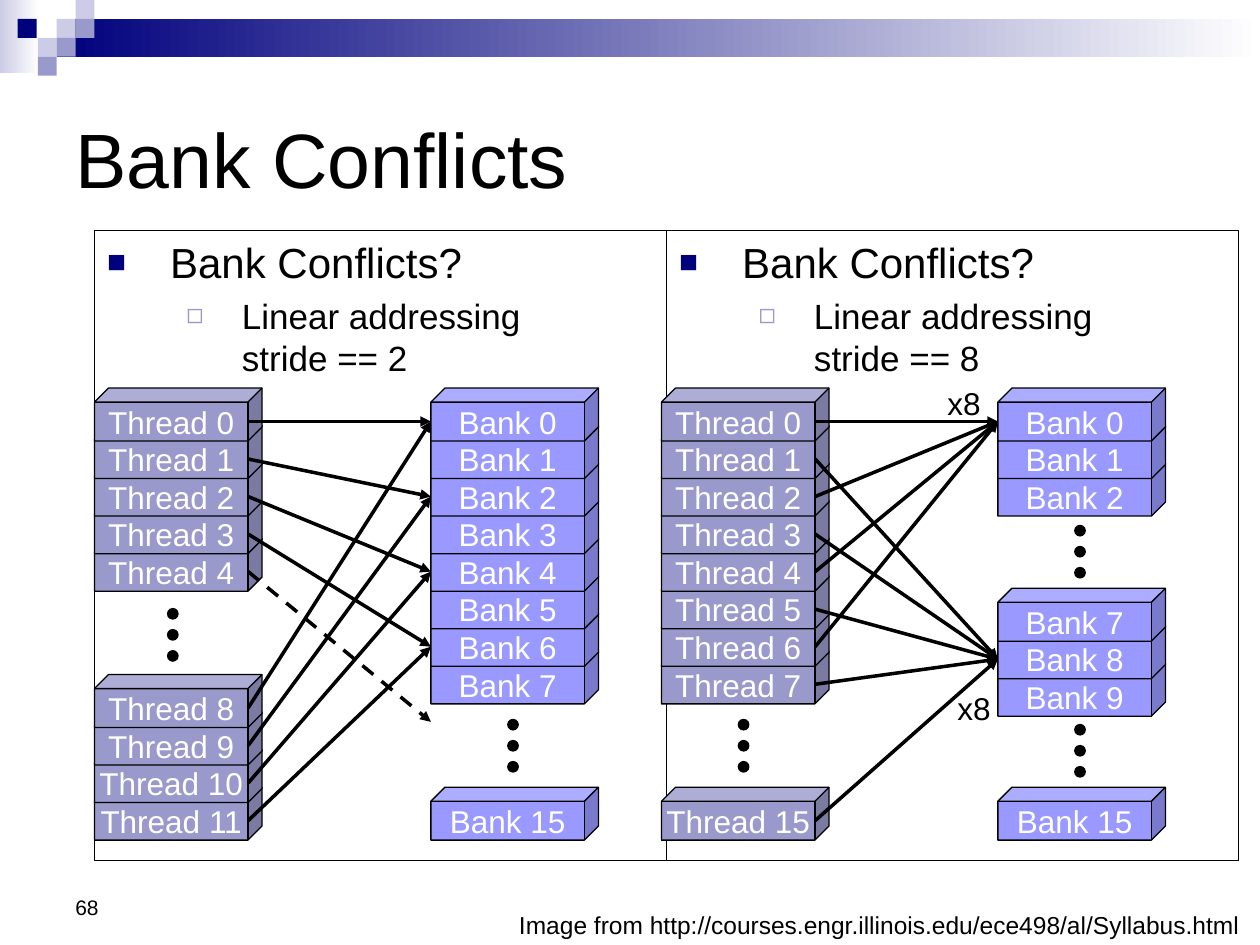
import pptx
import pptx.util
import pptx.dml.color
import pptx.enum.dml
import pptx.enum.shapes
import pptx.enum.text
import pptx.oxml.ns
from lxml import etree

SHAPE = pptx.enum.shapes.MSO_SHAPE
ALIGN = pptx.enum.text.PP_ALIGN
ANCHOR = pptx.enum.text.MSO_ANCHOR
qn = pptx.oxml.ns.qn

COLORS = {"ink": "000000", "paper": "FFFFFF", "navy": "00007D",
          "pale": "CCCCE6", "thread": "9999CC", "bank": "9999FF"}
COLS = 100                    # grid columns across the slide; rows are as tall
PITCH = 2.98                  # grid rows from one cube to the next
STACK_TOP = 30.8
CUBE_W, CUBE_H, FACE_W, FACE_MID = 13.3, 4.2, 12.2, 2.65


def cube_top(slot):
    return STACK_TOP + PITCH * slot


class Deck:
    font = "Arial"

    def __init__(self, width, height):
        self.prs = pptx.Presentation()
        self.prs.slide_width = pptx.util.Inches(width)
        self.prs.slide_height = pptx.util.Inches(height)
        self.s = self.prs.slides.add_slide(self.prs.slide_layouts[3])

    def grid(self, *cells):
        return [round(c * self.prs.slide_width / COLS) for c in cells]

    def color(self, name):
        return pptx.dml.color.RGBColor.from_string(COLORS[name])

    def fill_text(self, p, text, size, color="ink", **formats):
        for key, value in formats.items():
            setattr(p, key, value)
        p.text = text
        for r in p.runs:
            style = {"name": self.font, "size": pptx.util.Pt(size)}
            for key, value in style.items():
                setattr(r.font, key, value)
            r.font.color.rgb = self.color(color)
        for br in p._p.findall(qn("a:br")):
            etree.SubElement(br, qn("a:rPr"), sz=str(size * 100))

    def place(self, sp, at):
        for key, value in zip(("left", "top", "width", "height"), self.grid(*at)):
            setattr(sp, key, value)

    def frame(self, sp, **formats):
        for key, value in formats.items():
            setattr(sp.text_frame, key, value)
        return sp.text_frame

    def outline(self, sp):
        sp.line.color.rgb = self.color("ink")
        sp.line.width = pptx.util.Pt(0.75)

    def title(self, text, at):
        sp = self.s.shapes.title
        self.place(sp, at)
        tf = self.frame(sp, vertical_anchor=ANCHOR.MIDDLE)
        self.fill_text(tf.paragraphs[0], text, 44, alignment=ALIGN.LEFT)

    def bullets(self, idx, at, items):
        sp = self.s.placeholders[idx]
        self.place(sp, at)
        self.outline(sp)
        tf = self.frame(sp, vertical_anchor=ANCHOR.TOP, word_wrap=True,
                        auto_size=pptx.enum.text.MSO_AUTO_SIZE.NONE)
        looks = [("■", "navy", 75, 24, 0.5, -0.5, 0), ("◻", "thread", 80, 20, 1.07, -0.44, 4)]
        for level, text in enumerate(items):
            mark, tint, share, size, margin, indent, before = looks[level]
            p = tf.add_paragraph() if level else tf.paragraphs[0]
            p.level = level
            p.space_before = pptx.util.Pt(before)
            pPr = p._p.get_or_add_pPr()
            pPr.set("marL", str(pptx.util.Inches(margin)))
            pPr.set("indent", str(pptx.util.Inches(indent)))
            clr = etree.SubElement(pPr, qn("a:buClr"))
            etree.SubElement(clr, qn("a:srgbClr"), val=COLORS[tint])
            etree.SubElement(pPr, qn("a:buSzPct"), val=str(share * 1000))
            etree.SubElement(pPr, qn("a:buFont"), typeface=self.font)
            etree.SubElement(pPr, qn("a:buChar"), char=mark)
            self.fill_text(p, text, size)

    def text(self, text, at, size, align=ALIGN.LEFT, anchor=ANCHOR.TOP, wrap=True):
        sp = self.s.shapes.add_textbox(*self.grid(*at))
        tf = self.frame(sp, word_wrap=wrap, vertical_anchor=anchor)
        self.fill_text(tf.paragraphs[0], text, size, alignment=align)

    def shape(self, kind, at, fill, fade=False, outlined=False):
        sp = self.s.shapes.add_shape(kind, *self.grid(*at))
        sp.shadow.inherit = False
        if fade:
            sp.fill.gradient()
            sp.fill.gradient_angle = 0
            for stop, name in zip(sp.fill.gradient_stops, (fill, "paper")):
                stop.color.rgb = self.color(name)
        else:
            sp.fill.solid()
            sp.fill.fore_color.rgb = self.color(fill)
        if outlined:
            self.outline(sp)
        else:
            sp.line.fill.background()
        return sp

    def stack(self, kind, x, numbers, first_slot):
        """Cubes drawn from the bottom up, so each covers the lid below."""
        for i, n in reversed(list(enumerate(numbers))):
            at = (x, cube_top(first_slot + i), CUBE_W, CUBE_H)
            sp = self.shape(SHAPE.CUBE, at, kind.lower(), outlined=True)
            sp.adjustments[0] = 0.266
            tf = self.frame(sp, word_wrap=False, vertical_anchor=ANCHOR.MIDDLE)
            self.fill_text(tf.paragraphs[0], f"{kind} {n}", 18, "paper",
                           alignment=ALIGN.CENTER)

    def dots(self, x, y):
        for i in range(3):
            self.shape(SHAPE.OVAL, (x, y + 1.67 * i, 0.83, 0.83), "ink", outlined=True)

    def arrow(self, x1, slot1, x2, slot2, dashed=False):
        ends = self.grid(x1, cube_top(slot1) + FACE_MID, x2, cube_top(slot2) + FACE_MID)
        cn = self.s.shapes.add_connector(pptx.enum.shapes.MSO_CONNECTOR.STRAIGHT, *ends)
        cn.line.color.rgb = self.color("ink")
        cn.line.width = pptx.util.Pt(2)
        if dashed:
            cn.line.dash_style = pptx.enum.dml.MSO_LINE.DASH
        spPr = cn._element.spPr
        etree.SubElement(spPr.find(qn("a:ln")), qn("a:tailEnd"), type="triangle")
        etree.SubElement(spPr, qn("a:effectLst"))


def main():
    deck = Deck(10, 7.5)

    # Header band and squares
    deck.shape(SHAPE.RECTANGLE, (0, 0, 3.1, 5.8), "pale", fade=True)
    deck.shape(SHAPE.RECTANGLE, (4.5, 1.5, 95.5, 3), "navy", fade=True)
    for x, y, fill in [(4.5, 1.5, "pale"), (6, 0, "pale"), (6, 1.5, "thread"),
                       (3, 3, "pale"), (1.4, 1.5, "navy"), (4.5, 3, "thread"),
                       (3, 4.5, "thread")]:
        deck.shape(SHAPE.RECTANGLE, (x, y, 1.5, 1.5), fill)

    # Title and the two framed lists
    deck.title("Bank Conflicts", (5, 5, 90, 15))
    for i, stride in enumerate((2, 8)):
        deck.bullets(i + 1, (7.5 + 45.4 * i, 18.3, 45.4, 50),
                     ["Bank Conflicts?", f"Linear addressing\vstride == {stride}"])

    # Per panel: stacks as (numbers, first slot), dots as (x, y) and
    # arrows as (thread slot, bank slot)
    last, low = 10.63, 5.33
    hub = low + 1
    panels = [
        {"x": 7.5,
         "threads": [(range(8, 12), last - 3), (range(5), 0)],
         "banks": [([15], last), (range(8), 0)],
         "dots": [(13.3, 48.3), (40.3, 57.1)],
         "arrows": [(i, 2 * i) for i in range(4)]
                   + [(last - 3 + i, 2 * i) for i in range(4)],
         "dashed": [(4, 8)]},
        {"x": 52.5,
         "threads": [([15], last), (range(8), 0)],
         "banks": [([15], last), (range(7, 10), low), (range(3), 0)],
         "dots": [(58.6, 57.1), (85.3, 57.5), (85.3, 41.7)],
         "arrows": [(i, hub if i % 2 else 0) for i in range(8)] + [(last, hub)],
         "dashed": []},
    ]
    for panel in panels:
        x, bank_x = panel["x"], panel["x"] + 26.7
        for numbers, slot in panel["threads"]:
            deck.stack("Thread", x, numbers, slot)
        for style in ("arrows", "dashed"):
            for start, end in panel[style]:
                deck.arrow(x + FACE_W, start, bank_x, end, style == "dashed")
        for numbers, slot in panel["banks"]:
            deck.stack("Bank", bank_x, numbers, slot)
        for at in panel["dots"]:
            deck.dots(*at)

    # Conflict degrees
    for x, y in [(74.2, 30), (75, 54.2)]:
        deck.text("x8", (x, y, 4.7, 4), 18, wrap=False)

    # Footer
    deck.text("Image from http://courses.engr.illinois.edu/ece498/al/Syllabus.html",
              (0, 71.7, 99.4, 3.4), 14, align=ALIGN.RIGHT)
    deck.text("68", (5, 68.3, 23.3, 5.2), 12, anchor=ANCHOR.BOTTOM)

    deck.prs.save("out.pptx")


if __name__ == "__main__":
    main()
